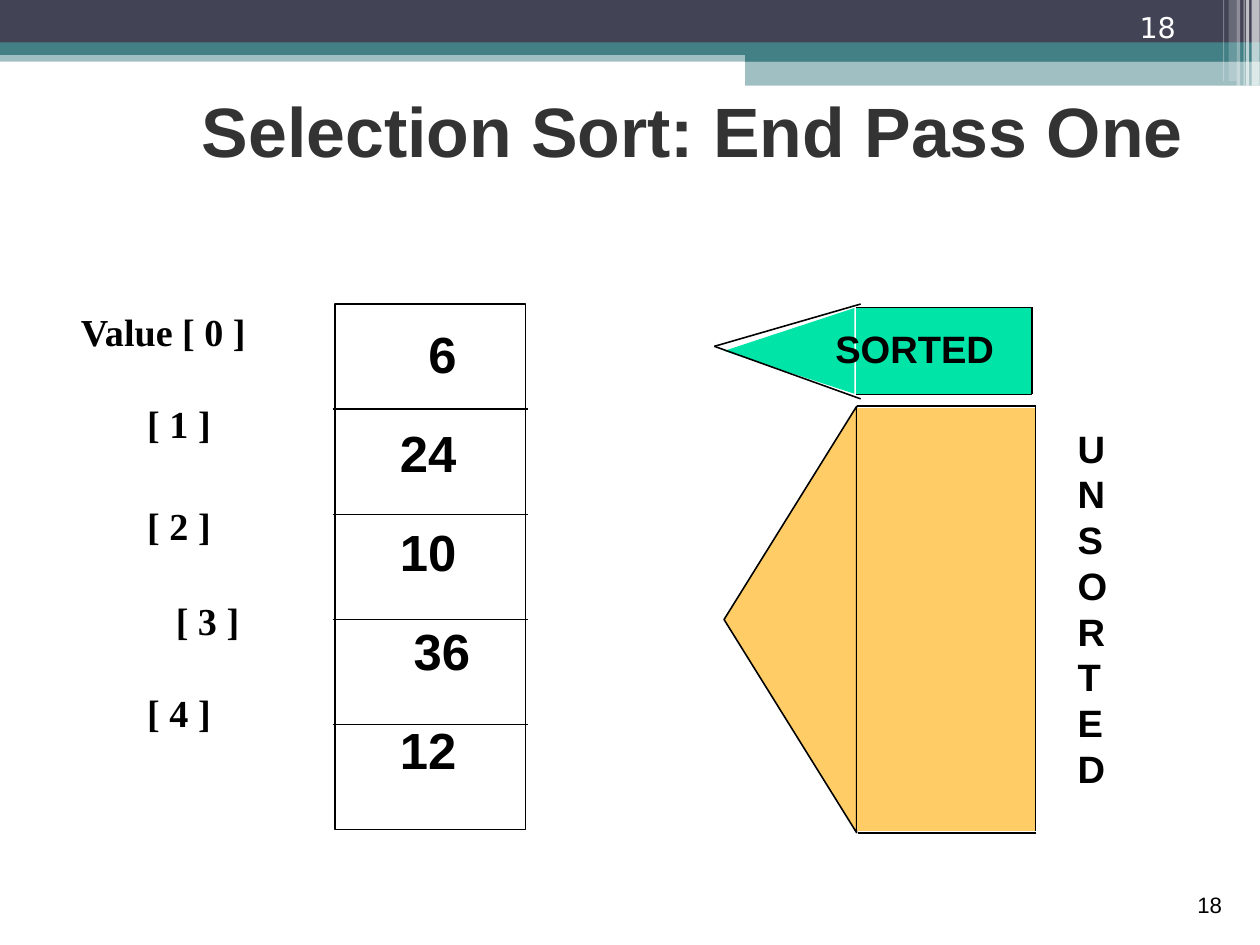
from lxml.etree import SubElement
from pptx import Presentation
from pptx.dml.color import RGBColor
from pptx.enum.shapes import MSO_CONNECTOR, MSO_SHAPE
from pptx.enum.text import MSO_ANCHOR as Anchor, PP_ALIGN as Align
from pptx.oxml.ns import qn
from pptx.util import Inches, Pt

BLACK = RGBColor(0x00, 0x00, 0x00)
WHITE = RGBColor(0xFF, 0xFF, 0xFF)
CHARCOAL = RGBColor(0x33, 0x33, 0x33)
NAVY = RGBColor(0x42, 0x44, 0x56)
TEAL = RGBColor(0x43, 0x80, 0x86)
ORANGE = RGBColor(0xFF, 0xCC, 0x66)
GREEN = RGBColor(0x00, 0xE4, 0xA8)

# 28 by 21 cm, in inches
SLIDE_WIDTH, SLIDE_HEIGHT = 28 / 2.54, 21 / 2.54


def add_block(slide, box, fill=None, opacity=100, outline=False,
              kind=MSO_SHAPE.RECTANGLE, rotation=0):
    block = slide.shapes.add_shape(kind, *map(Inches, box))
    block.shadow.inherit = False
    block.rotation = rotation
    if fill is None:
        block.fill.background()
    else:
        block.fill.solid()
        block.fill.fore_color.rgb = fill
    if opacity < 100:
        color = block.fill._xPr.find(qn("a:solidFill"))[0]
        SubElement(color, qn("a:alpha"), val=str(opacity * 1000))
    if outline:
        block.line.color.rgb = BLACK
        block.line.width = Pt(1)
    else:
        block.line.fill.background()


def add_line(slide, start, end):
    line = slide.shapes.add_connector(
        MSO_CONNECTOR.STRAIGHT, *map(Inches, (*start, *end)))
    line.line.color.rgb = BLACK
    line.line.width = Pt(1)
    SubElement(line._element.spPr, qn("a:effectLst"))


def add_text(slide, box, rows, size, font="Arial", color=BLACK, bold=True,
             align=Align.LEFT, anchor=Anchor.TOP, wrap=True, inset=0.1):
    """Each row is (text, left indent in inches, space before in points)."""
    frame = slide.shapes.add_textbox(*map(Inches, box)).text_frame
    frame.word_wrap = wrap
    frame.vertical_anchor = anchor
    frame.margin_left = frame.margin_right = Inches(inset)
    frame.margin_top = frame.margin_bottom = Inches(inset / 2)
    for index, (text, indent, gap) in enumerate(rows):
        paragraph = frame.add_paragraph() if index else frame.paragraphs[0]
        paragraph.text = text
        paragraph.alignment = align
        paragraph.line_spacing = Pt(1.2 * size)
        if gap:
            paragraph.space_before = Pt(gap)
        if indent:
            paragraph._p.get_or_add_pPr().set("marL", str(Inches(indent)))
        for run in paragraph.runs:
            run.font.size = Pt(size)
            run.font.name = font
            run.font.bold = bold
            run.font.color.rgb = color


def add_header(slide):
    # Bands across the top
    for left, top, height, color, opacity in (
            (0, 0.44, 0.1, TEAL, 50),
            (0, 0, 0.38, NAVY, 100),
            (0, 0.37, 0.11, TEAL, 100),
            (6.52, 0.43, 0.11, TEAL, 100),
            (6.52, 0.53, 0.22, TEAL, 50)):
        add_block(slide, (left, top, SLIDE_WIDTH - left, height), color, opacity)
    # Pale stripes in the right corner
    for left, width, height, opacity in (
            (10.95, 0.07, 0.75, 65), (10.9, 0.03, 0.75, 65),
            (10.88, 0.01, 0.75, 60), (10.82, 0.03, 0.75, 40),
            (10.75, 0.07, 0.71, 20), (10.7, 0.01, 0.71, 30)):
        add_block(slide, (left, 0, width, height), WHITE, opacity)


def add_array(slide):
    # Index labels
    labels = [("Value [ 0 ]", 0, 0), ("[ 1 ]", 0.58, 28.8), ("[ 2 ]", 0.58, 36),
              ("[ 3 ]", 0.83, 31), ("[ 4 ]", 0.58, 28.8)]
    add_text(slide, (0.61, 2.65, 2.68, 3.83), labels, 24, "Times New Roman")
    # Cells
    left, top, width, height = 2.93, 2.66, 1.67, 4.6
    add_block(slide, (left, top, width, height), outline=True)
    for row in range(1, 5):
        y = top + row * height / 5
        add_line(slide, (left - 0.02, y), (left + width + 0.02, y))
    # Values
    values = [("6", 0.25, 0), ("24", 0, 24), ("10", 0, 24),
              ("36", 0.12, 24), ("12", 0, 24)]
    add_text(slide, (3.4, 2.77, 0.82, 4.1), values, 32, wrap=False)


def add_unsorted_arrow(slide):
    add_block(slide, (5.05, 4.84, 3.73, 1.16), ORANGE, outline=True,
              kind=MSO_SHAPE.ISOSCELES_TRIANGLE, rotation=270)
    add_block(slide, (7.5, 3.57, 1.56, 3.7), ORANGE)
    add_line(slide, (7.5, 3.55), (9.06, 3.55))
    add_line(slide, (7.51, 7.29), (9.06, 7.29))
    add_line(slide, (9.06, 3.55), (9.06, 7.27))
    add_text(slide, (9.33, 3.67, 0.46, 3.3),
             [(letter, 0, 0) for letter in "UNSORTED"], 24, wrap=False)


def add_sorted_arrow(slide):
    add_block(slide, (6.53, 2.5, 0.75, 1.14), GREEN,
              kind=MSO_SHAPE.ISOSCELES_TRIANGLE, rotation=270)
    add_block(slide, (7.49, 2.69, 1.54, 0.76), GREEN)
    for y in (2.69, 3.45):
        add_line(slide, (7.49, y), (9.03, y))
    for y in (2.66, 3.49):
        add_line(slide, (6.25, 3.03), (7.53, y))
    add_text(slide, (7.21, 2.8, 1.59, 0.5), [("SORTED", 0, 0)], 24, wrap=False)
    add_line(slide, (9.03, 2.69), (9.03, 3.45))


def main():
    deck = Presentation()
    deck.slide_width = Inches(SLIDE_WIDTH)
    deck.slide_height = Inches(SLIDE_HEIGHT)
    slide = deck.slides.add_slide(deck.slide_layouts[6])

    add_header(slide)
    add_text(slide, (1.53, 0.26, 9.07, 1.29),
             [("Selection Sort: End Pass One", 0, 0)], 44, color=CHARCOAL,
             align=Align.CENTER, anchor=Anchor.BOTTOM)
    add_array(slide)
    add_unsorted_arrow(slide)
    add_sorted_arrow(slide)

    # Page numbers
    page = [("18", 0, 0)]
    add_text(slide, (8.49, 7.53, 2.3, 0.55), page, 14, bold=False,
             align=Align.RIGHT, anchor=Anchor.BOTTOM)
    add_text(slide, (9.86, 0, 0.92, 0.44), page, 18, "DejaVu Sans", WHITE,
             bold=False, anchor=Anchor.BOTTOM, inset=0.11)
    deck.save("out.pptx")


if __name__ == "__main__":
    main()
